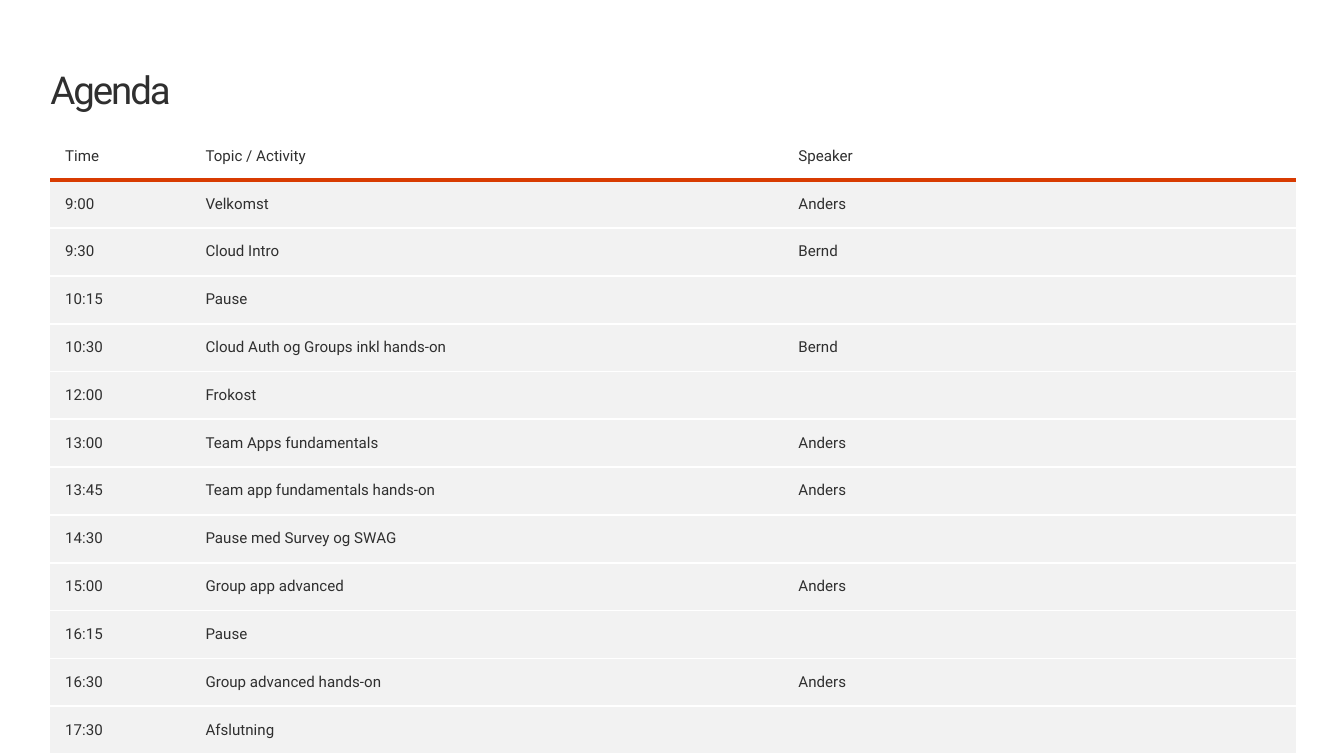
"""Build the agenda slide: a title above a timetable of topics and speakers."""
from lxml.etree import SubElement
from pptx import Presentation
from pptx.dml.color import RGBColor
from pptx.enum.text import MSO_ANCHOR
from pptx.oxml.ns import qn
from pptx.util import Inches, Pt

COLORS = {"text": "2F2F2F", "accent": "D83B01", "row": "F2F2F2", "white": "FFFFFF"}
AGENDA = [
    ("Time", "Topic / Activity", "Speaker"),
    ("9:00", "Velkomst", "Anders"),
    ("9:30", "Cloud Intro", "Bernd"),
    ("10:15", "Pause", ""),
    ("10:30", "Cloud Auth og Groups inkl hands-on", "Bernd"),
    ("12:00", "Frokost", ""),
    ("13:00", "Team Apps fundamentals", "Anders"),
    ("13:45", "Team app fundamentals hands-on", "Anders"),
    ("14:30", "Pause med Survey og SWAG", ""),
    ("15:00", "Group app advanced", "Anders"),
    ("16:15", "Pause", ""),
    ("16:30", "Group advanced hands-on", "Anders"),
    ("17:30", "Afslutning", ""),
]
COLUMN_WIDTHS = (1.42, 6, 5.19)
ROW_HEIGHT = 0.47
LEFT, WIDTH = Inches(0.51), Inches(12.61)


def add_text(para, text, size):
    span = para.add_run()
    span.text = text
    span.font.name = "Roboto"
    span.font.size = Pt(size)
    span.font.color.rgb = RGBColor.from_string(COLORS["text"])
    return span


def add_border(cell, side, color=None, points=0):
    line = SubElement(cell._tc.get_or_add_tcPr(), qn(f"a:ln{side}"), w=str(Pt(points)))
    if color is None:
        SubElement(line, qn("a:noFill"))
    else:
        fill = SubElement(line, qn("a:solidFill"))
        SubElement(fill, qn("a:srgbClr"), val=COLORS[color])


deck = Presentation()
deck.slide_width, deck.slide_height = Inches(13.6), Inches(7.65)
page = deck.slides.add_slide(deck.slide_layouts[6])

title_box = page.shapes.add_textbox(LEFT, Inches(0.69), WIDTH, Inches(0.45))
frame = title_box.text_frame
frame.word_wrap = True
frame.margin_left = frame.margin_right = frame.margin_top = frame.margin_bottom = 0
para = frame.paragraphs[0]
para.line_spacing = Pt(32)
title = add_text(para, "Agenda", 28)
title.font._element.set("spc", "-150")

table = page.shapes.add_table(
    len(AGENDA), len(COLUMN_WIDTHS), LEFT, Inches(1.34), WIDTH, Inches(ROW_HEIGHT * len(AGENDA))
).table
table.first_row = table.horz_banding = False
for column, width in zip(table.columns, COLUMN_WIDTHS):
    column.width = Inches(width)

for row_index, entries in enumerate(AGENDA):
    table.rows[row_index].height = Inches(ROW_HEIGHT)
    for column_index, text in enumerate(entries):
        cell = table.cell(row_index, column_index)
        if text:
            cell.margin_left = cell.margin_right = Inches(0.15)
            cell.margin_top = cell.margin_bottom = Inches(0.15)
            add_text(cell.text_frame.paragraphs[0], text, 11)
        add_border(cell, "L")
        add_border(cell, "R")
        if row_index == 1:
            add_border(cell, "T", "accent", 3)
        elif row_index > 1:
            add_border(cell, "T", "white", 1.5)
        if row_index == 0:
            add_border(cell, "B", "accent", 3)
            cell.vertical_anchor = MSO_ANCHOR.MIDDLE
            cell.fill.background()
        else:
            if row_index < len(AGENDA) - 1:
                add_border(cell, "B", "white", 1.5)
            cell.fill.solid()
            cell.fill.fore_color.rgb = RGBColor.from_string(COLORS["row"])

deck.save("out.pptx")
